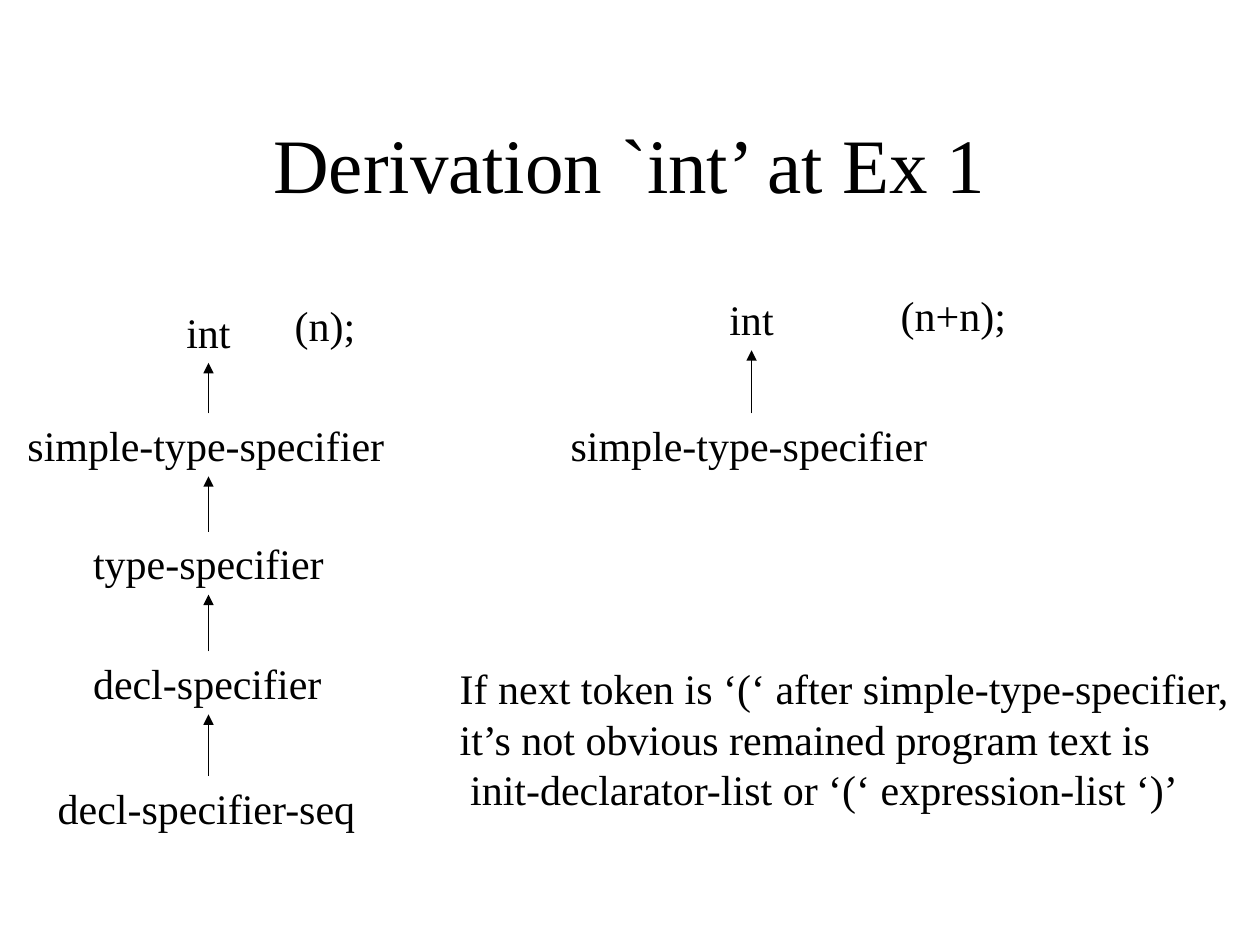
from itertools import pairwise

from lxml.etree import SubElement
from pptx import Presentation
from pptx.dml.color import RGBColor
from pptx.enum.shapes import MSO_CONNECTOR
from pptx.enum.text import MSO_ANCHOR, MSO_AUTO_SIZE, PP_ALIGN
from pptx.oxml.ns import qn
from pptx.util import Inches, Pt

COLOURS = {"ink": "000000", "paper": "FFFFFF"}
FONT = "Times New Roman"
ROW_HEIGHT = 0.5
SPECIFIER = "simple-type-specifier"
DECLARATION_CHAIN = [
    ("int", 1.38, 2.38, 0.55),
    (SPECIFIER, 0.12, 3.28, 3.07),
    ("type-specifier", 0.64, 4.22, 2.04),
    ("decl-specifier", 0.64, 5.17, 2.03),
    ("decl-specifier-seq", 0.36, 6.16, 2.58),
]
EXPRESSION_CHAIN = [
    ("int", 5.69, 2.28, 0.55),
    (SPECIFIER, 4.43, 3.28, 3.07),
]
REMAINDERS = [("(n);", 2.24, 2.33, 0.69), ("(n+n);", 7.05, 2.25, 1.05)]
CONCLUSION = [
    "If next token is ‘(‘ after simple-type-specifier,",
    "it’s not obvious remained program text is",
    " init-declarator-list or ‘(‘ expression-list ‘)’",
]


def set_all(target, values):
    """Set every named attribute on the target."""
    for name, value in values.items():
        setattr(target, name, value)


def write_lines(frame, lines, size, align=PP_ALIGN.LEFT):
    """Fill a text frame with one formatted paragraph per line."""
    for index, line in enumerate(lines):
        para = frame.add_paragraph() if index else frame.paragraphs[0]
        para.alignment = align
        span = para.add_run()
        span.text = line
        set_all(span.font, {"name": FONT, "size": Pt(size)})
        span.font.color.rgb = RGBColor.from_string(COLOURS["ink"])


def add_title(page, text):
    """Place and format the title placeholder."""
    title = page.shapes.title
    set_all(title, {"left": Inches(0.75), "top": Inches(0.67),
                    "width": Inches(8.5), "height": Inches(1.25)})
    title.text_frame.vertical_anchor = MSO_ANCHOR.MIDDLE
    write_lines(title.text_frame, [text], 44, PP_ALIGN.CENTER)


def add_label(page, lines, left, top, width, height=ROW_HEIGHT, wrap=False):
    """Add a text box that grows with its lines."""
    box = page.shapes.add_textbox(
        Inches(left), Inches(top), Inches(width), Inches(height))
    set_all(box.text_frame, {"word_wrap": wrap,
                             "auto_size": MSO_AUTO_SIZE.SHAPE_TO_FIT_TEXT})
    write_lines(box.text_frame, lines, 24)


def add_arrow(page, x, start, end):
    """Draw a thin vertical arrow that points at its end."""
    arrow = page.shapes.add_connector(
        MSO_CONNECTOR.STRAIGHT, Inches(x), Inches(start), Inches(x), Inches(end))
    arrow.line.width = Pt(0.75)
    arrow.line.color.rgb = RGBColor.from_string(COLOURS["ink"])
    SubElement(arrow.line._get_or_add_ln(), qn("a:tailEnd"), type="triangle")
    SubElement(arrow._element.spPr, qn("a:effectLst"))


def add_chain(page, chain):
    """Stack the labels of a derivation and join each to the one above."""
    for text, left, top, width in chain:
        add_label(page, [text], left, top, width, wrap=text == SPECIFIER)
    _, left, _, width = chain[0]
    for upper, lower in pairwise(chain):
        add_arrow(page, left + width / 2, lower[2], upper[2] + ROW_HEIGHT)


def main():
    """Build and save the slide."""
    deck = Presentation()
    set_all(deck, {"slide_width": Inches(10), "slide_height": Inches(7.5)})
    page = deck.slides.add_slide(deck.slide_layouts[5])
    page.background.fill.solid()
    page.background.fill.fore_color.rgb = RGBColor.from_string(COLOURS["paper"])
    add_title(page, "Derivation `int’ at Ex 1")
    for chain in (DECLARATION_CHAIN, EXPRESSION_CHAIN):
        add_chain(page, chain)
    for text, left, top, width in REMAINDERS:
        add_label(page, [text], left, top, width)
    add_label(page, CONCLUSION, 3.55, 5.21, 6.32, 1.3)
    deck.save("out.pptx")


if __name__ == "__main__":
    main()
